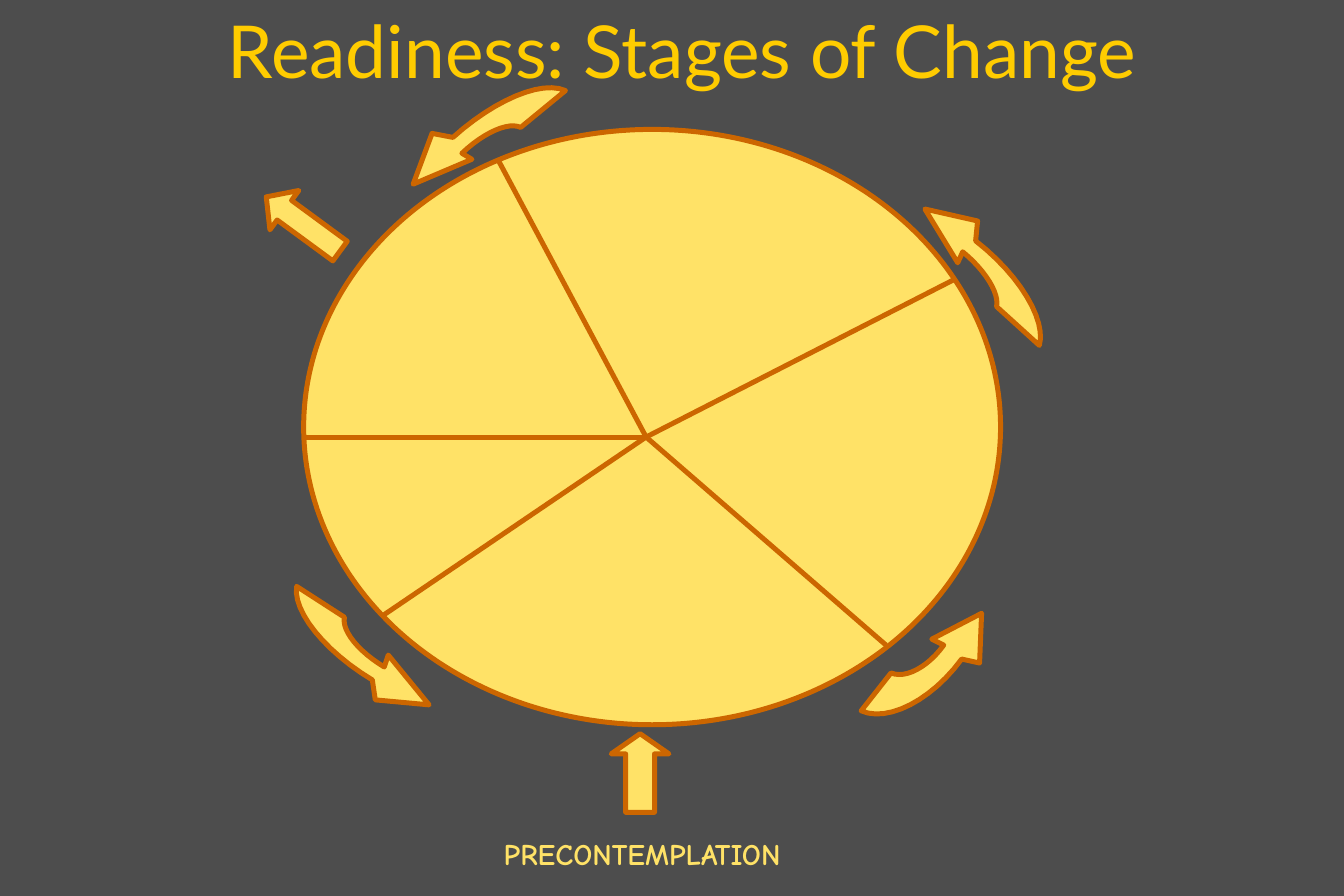
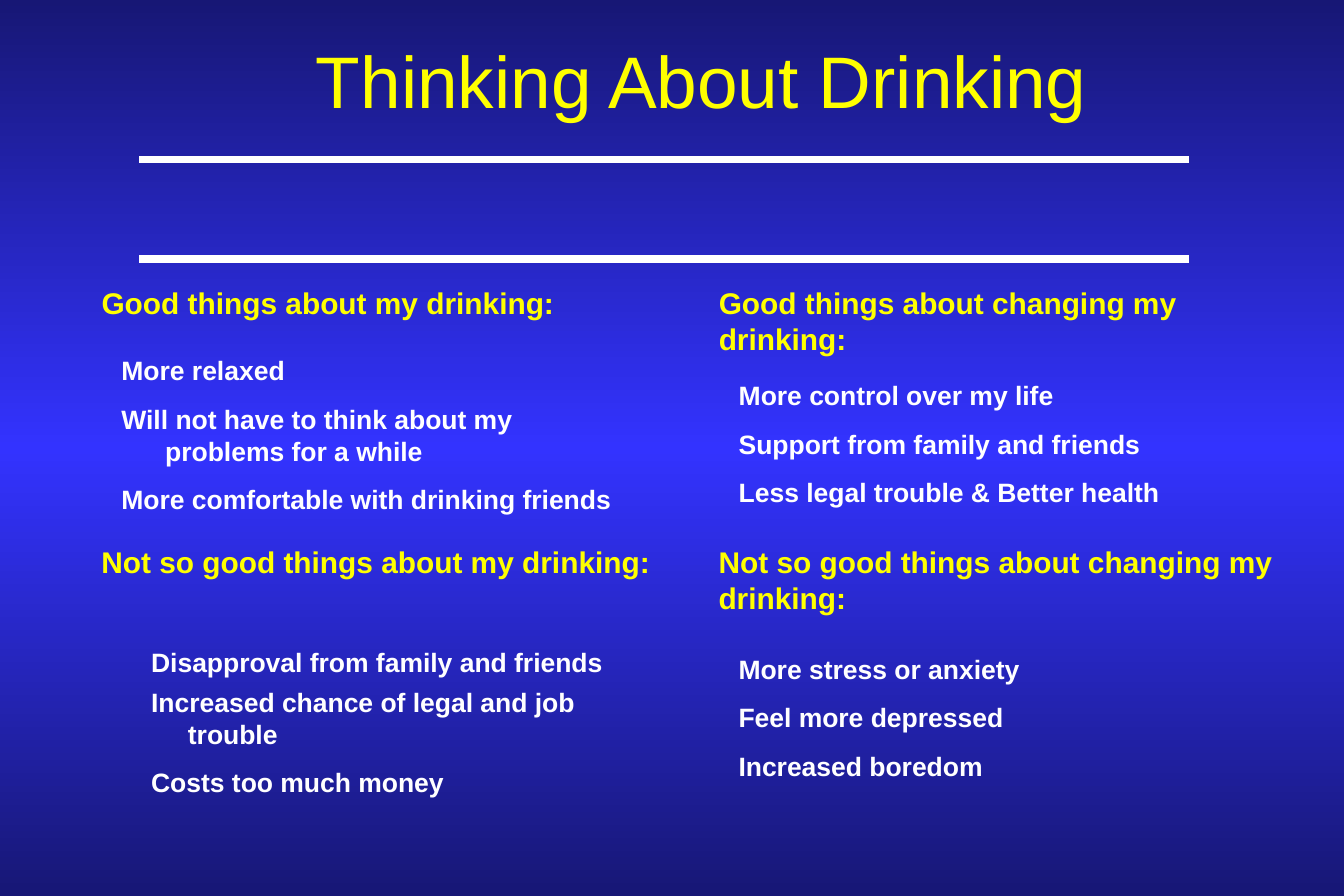
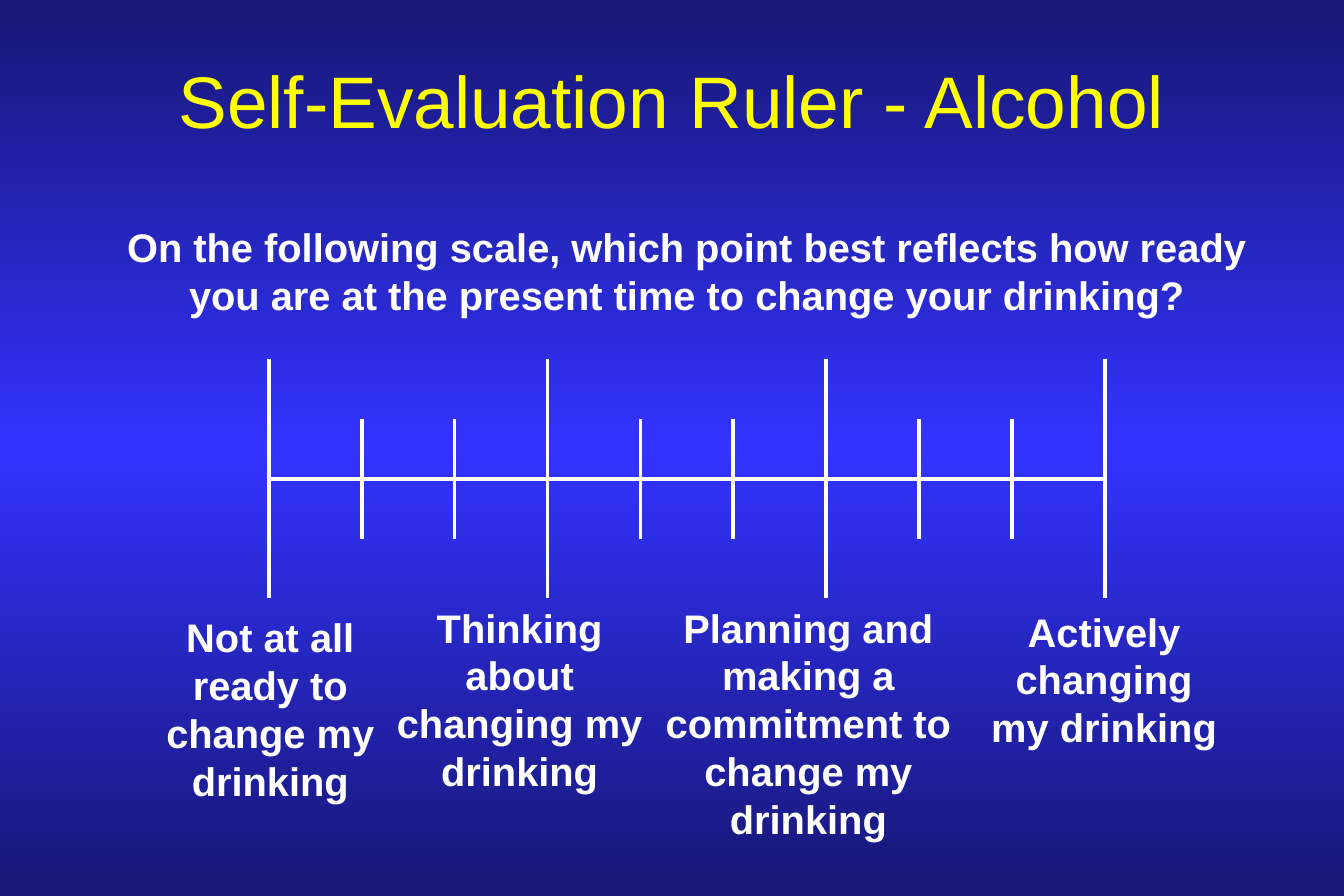
from copy import deepcopy

from lxml import etree
from pptx import Presentation
from pptx.dml.color import RGBColor
from pptx.enum.shapes import MSO_CONNECTOR, MSO_SHAPE
from pptx.enum.text import MSO_ANCHOR, MSO_AUTO_SIZE, PP_ALIGN
from pptx.oxml.ns import qn
from pptx.util import Emu, Inches, Pt

GRAY = RGBColor(0x4D, 0x4D, 0x4D)
CREAM = RGBColor(0xFF, 0xE2, 0x67)
RUST = RGBColor(0xCC, 0x66, 0x00)
GOLD = RGBColor(0xFF, 0xCC, 0x00)
NAVY = RGBColor(0x17, 0x17, 0x75)
BLUE = RGBColor(0x33, 0x33, 0xFF)
YELLOW = RGBColor(0xFF, 0xFF, 0x00)
WHITE = RGBColor(0xFF, 0xFF, 0xFF)

STRAIGHT = MSO_CONNECTOR.STRAIGHT
ELLIPSE, UP_ARROW = MSO_SHAPE.OVAL, MSO_SHAPE.UP_ARROW
LEFT, CENTER = PP_ALIGN.LEFT, PP_ALIGN.CENTER
TOP = MSO_ANCHOR.TOP
NO_FIT = MSO_AUTO_SIZE.NONE

COLS, ROWS = 135, 90
CELL = Inches(1) // 12
LAYOUT_CONTENT, LAYOUT_COMPARISON, LAYOUT_TITLE = 1, 4, 5
CURVE_STEPS = 12

HUB = (64.9, 43.9)
SPOKE_ENDS = [(50, 16), (96, 28), (89, 64.8), (38.5, 61.8), (30.5, 43.9)]
CURVED_ARROWS = [
    {"inner": [(96.7, 25.3), (99, 27.2), (100.4, 29.5), (100.1, 30.8)],
     "outer": [(104.4, 34.7), (105.1, 32.2), (102.5, 27.7), (98, 24.2)],
     "head": [(98.2, 22.2), (92.9, 21), (96.2, 26.4)]},
    {"inner": [(46.4, 15.4), (48.6, 13.3), (51.1, 12.2), (52.3, 12.8)],
     "outer": [(56.8, 9.1), (54.4, 8), (49.6, 10.1), (45.5, 13.8)],
     "head": [(43.4, 13.4), (41.5, 18.5), (47.4, 16)]},
    {"inner": [(94.8, 64.8), (93.2, 67), (91, 68.2), (89.5, 67.6)],
     "outer": [(86.5, 71.4), (89.2, 72.6), (93.6, 70.3), (96.6, 66.2)],
     "head": [(98.4, 66.6), (98.6, 61.6), (93.6, 64.2)]},
    {"inner": [(38.6, 67), (36.1, 65.5), (34.3, 63.4), (34.6, 62)],
     "outer": [(29.8, 58.9), (29.4, 61.4), (32.6, 65.4), (37.4, 68.3)],
     "head": [(37.7, 70.3), (43.1, 70.8), (39, 65.8)]},
]


def grid(*cells):
    return [Emu(round(n * CELL)) for n in cells]


def write_text(sp, box, paragraphs, size=24, color=WHITE, font="Arial",
               bold=True, align=LEFT, gaps=None, after=0, hang=0):
    sp.left, sp.top, sp.width, sp.height = grid(*box)
    tf = sp.text_frame
    tf.word_wrap = True
    tf.auto_size = NO_FIT
    tf.vertical_anchor = TOP
    for i, text in enumerate(paragraphs):
        p = tf.add_paragraph() if i else tf.paragraphs[0]
        p.text = text
        p.alignment = align
        p.space_before = Pt(gaps[i] if gaps else 0)
        p.space_after = Pt(after)
        pPr = p._p.get_or_add_pPr()
        indent = grid(hang)[0]
        pPr.set("marL", str(indent))
        pPr.set("indent", str(-indent))
        etree.SubElement(pPr, qn("a:buNone"))
        for r in p.runs:
            r.font.size = Pt(size)
            r.font.name = font
            r.font.bold = bold
            r.font.color.rgb = color


def add_text(s, box, paragraphs, **fmt):
    write_text(s.shapes.add_textbox(*grid(*box)), box, paragraphs, **fmt)


def add_title(s, box, text, color=YELLOW, font="Arial"):
    write_text(s.shapes.title, box, [text], size=44, color=color, font=font,
               bold=False, align=CENTER)


def add_line(s, start, end, color, width):
    line = s.shapes.add_connector(STRAIGHT, *grid(*start, *end))
    line.line.color.rgb = color
    line.line.width = Pt(width)
    etree.SubElement(line._element.spPr, qn("a:effectLst"))


def style_wheel_part(sp):
    sp.shadow.inherit = False
    sp.fill.solid()
    sp.fill.fore_color.rgb = CREAM
    sp.line.color.rgb = RUST
    sp.line.width = Pt(3)


def add_wheel_shape(s, kind, box, head=None, rotation=0):
    sp = s.shapes.add_shape(kind, *grid(*box))
    if head:
        sp.adjustments[1] = head
    sp.rotation = rotation
    style_wheel_part(sp)


def curve(points):
    for step in range(CURVE_STEPS + 1):
        t = step / CURVE_STEPS
        weights = ((1 - t) ** 3, 3 * t * (1 - t) ** 2, 3 * t * t * (1 - t), t ** 3)
        yield tuple(sum(w * p[axis] for w, p in zip(weights, points)) for axis in (0, 1))


def add_curved_arrow(s, inner, outer, head):
    outline = [grid(*pt) for pt in (*curve(inner), *curve(outer), *head)]
    builder = s.shapes.build_freeform(*outline[0])
    builder.add_line_segments(outline[1:], close=True)
    style_wheel_part(builder.convert_to_shape())


def set_blue_background(s):
    fill = s.background.fill
    fill.gradient()
    fill.gradient_angle = 90
    stops = s.element.find(".//" + qn("a:gsLst"))
    stops.append(deepcopy(stops[0]))
    for stop, (position, color) in zip(fill.gradient_stops,
                                       [(0, NAVY), (0.5, BLUE), (1, NAVY)]):
        stop.position = position
        stop.color.rgb = color


def new_slide(prs, layout):
    return prs.slides.add_slide(prs.slide_layouts[layout])


def build_stages(prs):
    s = new_slide(prs, LAYOUT_TITLE)
    s.background.fill.solid()
    s.background.fill.fore_color.rgb = GRAY
    add_wheel_shape(s, ELLIPSE, (30.5, 13, 70, 59.8))
    for arrow in CURVED_ARROWS:
        add_curved_arrow(s, **arrow)
    add_wheel_shape(s, UP_ARROW, (61.4, 73.7, 5.8, 7.9), head=0.35)
    add_wheel_shape(s, UP_ARROW, (28, 17.9, 4.9, 9.2), head=0.46, rotation=306.3)
    for end in SPOKE_ENDS:
        add_line(s, HUB, end, RUST, 3)
    add_text(s, (48, 83.4, 33, 3.6), ["PRECONTEMPLATION"], size=18,
             color=CREAM, font="Comic Neue", align=CENTER)
    add_title(s, (6.7, 0, 123.7, 16.4), "Readiness: Stages of Change", GOLD, "Lato")


def build_balance(prs):
    s = new_slide(prs, LAYOUT_COMPARISON)
    set_blue_background(s)
    add_title(s, (10, 3, 121, 10), "Thinking About Drinking")
    for row in (16, 26):
        add_line(s, (14, row), (119.4, row), WHITE, 4.5)

    heading = {"size": 18, "color": YELLOW}
    items = {"size": 16, "gaps": (0, 5, 5), "after": 5}
    left_head, left_list, right_head, right_list = list(s.placeholders)[1:]
    write_text(left_head, (9, 28, 54, 5), ["Good things about my drinking:"], **heading)
    write_text(left_list, (11, 35, 61, 17.4),
               ["More relaxed",
                "Will not have to think about my\vproblems for a while",
                "More comfortable with drinking friends"], hang=4.4, **items)
    write_text(right_head, (71, 28, 56, 8.4),
               ["Good things about changing my drinking:"], **heading)
    write_text(right_list, (73, 37.5, 53, 14.2),
               ["More control over my life",
                "Support from family and friends",
                "Less legal trouble & Better health"], **items)
    add_text(s, (9, 54, 59, 5), ["Not so good things about my drinking:"], **heading)
    add_text(s, (14, 64.3, 50, 16.6),
             ["Disapproval from family and friends",
              "Increased chance of legal and job\vtrouble",
              "Costs too much money"], hang=3.7, **{**items, "gaps": (0, 0, 5)})
    add_text(s, (71, 54, 60, 8.4),
             ["Not so good things about changing my drinking:"], **heading)
    add_text(s, (73, 65, 57, 14.2),
             ["More stress or anxiety", "Feel more depressed", "Increased boredom"],
             **items)


def build_ruler(prs):
    s = new_slide(prs, LAYOUT_CONTENT)
    set_blue_background(s)
    add_title(s, (0, 5, COLS, 10), "Self-Evaluation Ruler - Alcohol")
    write_text(s.placeholders[1], (11, 21.8, 116, 15.6),
               ["On the following scale, which point best reflects how ready "
                "you are at the present time to change your drinking?"], align=CENTER)
    for box, label in [
        ((14, 61, 26.3, 20.4), "Not at all ready to change my drinking"),
        ((38.3, 60, 27.8, 20.4), "Thinking about changing my drinking"),
        ((65.3, 60, 31.8, 25.2), "Planning and making a commitment to change my drinking"),
        ((98, 60.4, 25.8, 15.6), "Actively changing my drinking"),
    ]:
        add_text(s, box, [label], align=CENTER)

    first, last, axis, intervals = 27, 111, 48.1, 9
    add_line(s, (first, axis), (last, axis), WHITE, 2.25)
    for i in range(intervals + 1):
        x = first + i * (last - first) / intervals
        reach = 6 if i % 3 else 12
        add_line(s, (x, axis - reach), (x, axis + reach), WHITE, 2.25)


def main():
    prs = Presentation()
    prs.slide_width, prs.slide_height = grid(COLS, ROWS)
    build_stages(prs)
    build_balance(prs)
    build_ruler(prs)
    prs.save("out.pptx")


if __name__ == "__main__":
    main()
